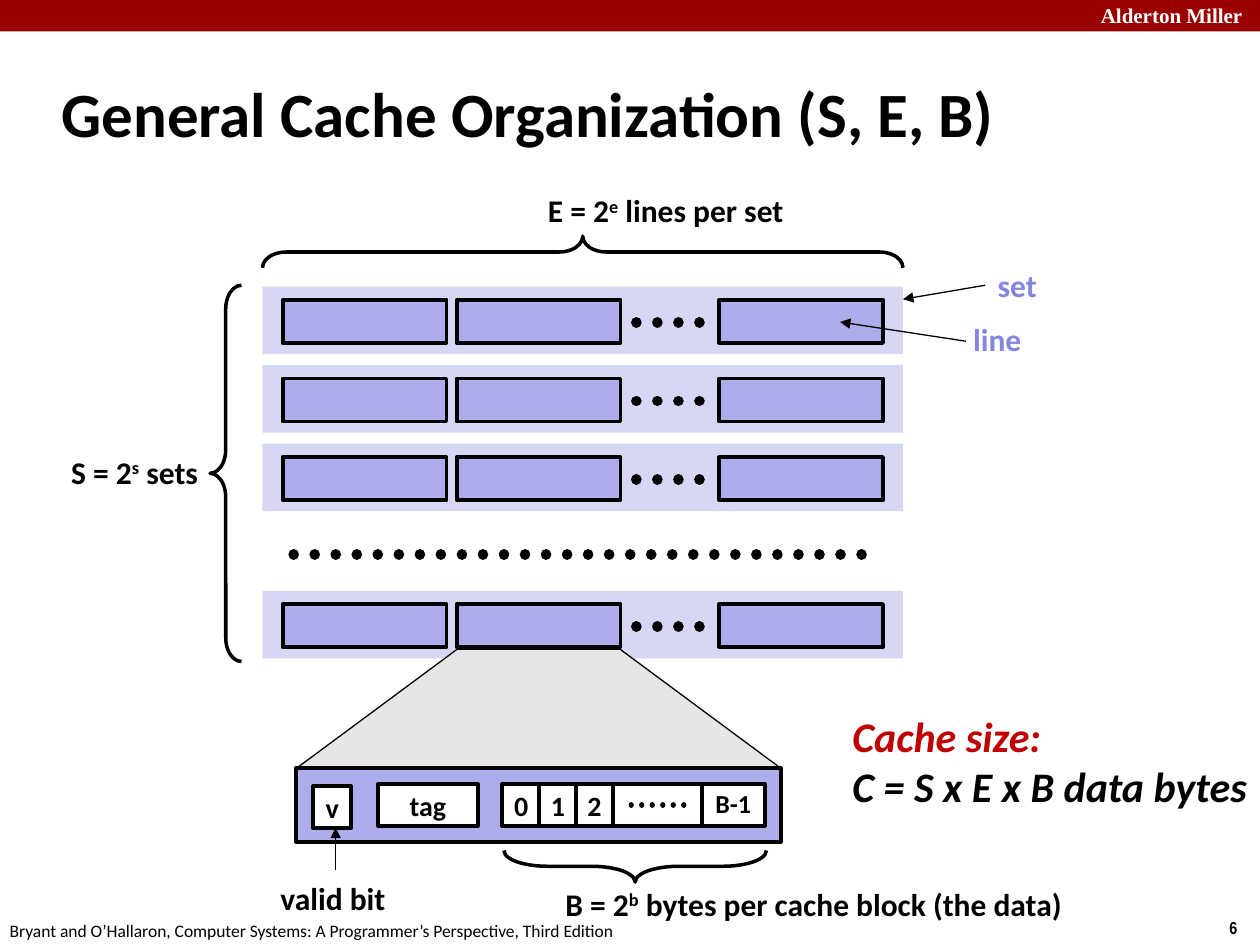
from pptx import Presentation
from pptx.dml.color import RGBColor
from pptx.enum.dml import MSO_LINE
from pptx.enum.shapes import MSO_CONNECTOR, MSO_SHAPE as Preset
from pptx.enum.text import MSO_ANCHOR as Anchor, MSO_AUTO_SIZE as AutoSize, PP_ALIGN as Align
from pptx.oxml.ns import qn
from pptx.util import Pt
from lxml.etree import SubElement

BLACK, WHITE = "000000", "FFFFFF"
BANNER_RED, ACCENT_RED = "990000", "C00000"
SET_FILL, LINE_FILL, LABEL = "D6D6F5", "ADADEB", "8585E0"
ZOOM_GRAY = "E6E6E6"

SET_LEFT, SET_WIDTH, SET_HEIGHT = 150, 366, 38.6
FIRST_SET_TOP, SET_PITCH, LAST_SET_TOP = 163.8, 44.9, 337.6
BYTE_TOP, BYTE_HEIGHT = 448, 24


def color(hex_string):
    return RGBColor.from_string(hex_string)


def add_run(paragraph, text, size, ink=BLACK, bold=True, italic=False, font="Calibri"):
    run = paragraph.add_run()
    run.text = text
    run.font.name = font
    run.font.size = Pt(size)
    run.font.bold = bold
    run.font.italic = italic
    run.font.color.rgb = color(ink)
    return run


def add_text(slide, left, top, width, height, wrap=False):
    """Add an empty text box and return its text frame."""
    box = slide.shapes.add_textbox(Pt(left), Pt(top), Pt(width), Pt(height))
    frame = box.text_frame
    frame.word_wrap = wrap
    frame.auto_size = AutoSize.SHAPE_TO_FIT_TEXT
    return frame


def add_label(slide, left, top, width, text, ink=BLACK):
    frame = add_text(slide, left, top, width, 29)
    add_run(frame.paragraphs[0], text, 18, ink)


def add_power_label(slide, left, top, width, base, exponent, rest):
    """Add a label whose exponent is a superscript run."""
    paragraph = add_text(slide, left, top, width, 29).paragraphs[0]
    add_run(paragraph, base, 18)
    raised = add_run(paragraph, exponent, 18)
    raised._r.get_or_add_rPr().set("baseline", "30000")
    add_run(paragraph, rest, 18)


def add_preset(parent, preset, left, top, width, height, fill=None, weight=None):
    shape = parent.shapes.add_shape(preset, Pt(left), Pt(top), Pt(width), Pt(height))
    shape.shadow.inherit = False
    if fill:
        shape.fill.solid()
        shape.fill.fore_color.rgb = color(fill)
    else:
        shape.fill.background()
    if weight:
        shape.line.color.rgb = color(BLACK)
        shape.line.width = Pt(weight)
    else:
        shape.line.fill.background()
    return shape


def add_brace(slide, left, top, width, height, curl, rotation=0):
    brace = add_preset(slide, Preset.LEFT_BRACE, left, top, width, height, weight=2)
    brace.adjustments[0] = curl
    brace.adjustments[1] = 0.5
    brace.rotation = rotation


def add_cell(slide, left, width, text="", top=BYTE_TOP, size=16, spacing=None):
    """Add a white field of the cache line."""
    cell = add_preset(slide, Preset.RECTANGLE, left, top, width, BYTE_HEIGHT, WHITE, 2.25)
    if text:
        frame = cell.text_frame
        frame.word_wrap = False
        frame.vertical_anchor = Anchor.MIDDLE
        paragraph = frame.paragraphs[0]
        paragraph.alignment = Align.CENTER
        paragraph.line_spacing = spacing
        add_run(paragraph, text, size)


def add_line(parent, start, end, weight):
    line = parent.shapes.add_connector(
        MSO_CONNECTOR.STRAIGHT, Pt(start[0]), Pt(start[1]), Pt(end[0]), Pt(end[1]))
    line.line.color.rgb = color(BLACK)
    line.line.width = Pt(weight)
    properties = line._element.spPr
    SubElement(properties, qn("a:effectLst"))
    return line, properties.find(qn("a:ln"))


def add_arrow(slide, start, end):
    outline = add_line(slide, start, end, 0.75)[1]
    SubElement(outline, qn("a:tailEnd")).set("type", "triangle")


def add_dots(parent, left, right, middle, weight=6):
    line, outline = add_line(parent, (left, middle), (right, middle), weight)
    line.line.dash_style = MSO_LINE.ROUND_DOT
    outline.set("cap", "rnd")


def add_set(slide, top):
    """Add one cache set: a band with three lines and an ellipsis."""
    group = slide.shapes.add_group_shape()
    add_preset(group, Preset.RECTANGLE, SET_LEFT, top, SET_WIDTH, SET_HEIGHT, SET_FILL)
    # Four dots fit in the gap before the last line
    add_dots(group, 363.6, 407, top + 20.4)
    for left in (161.6, 261, 411):
        add_preset(group, Preset.RECTANGLE, left, top + 7.6, 93.6, 24.6, LINE_FILL, 2.25)


def add_frame_texts(slide):
    # Banner, page number and source line
    add_preset(slide, Preset.RECTANGLE, 0, 0, 720, 18, BANNER_RED)
    banner = add_text(slide, 622, -2, 103, 22, wrap=True)
    add_run(banner.paragraphs[0], "Alderton Miller", 12, WHITE, font="Times New Roman")
    number = add_text(slide, 695.5, 520.5, 24.5, 19.4)
    add_run(number.paragraphs[0], "6", 10, font="Arial Narrow")
    source = add_text(slide, -1.5, 522, 366, 19.4)
    add_run(source.paragraphs[0], "Bryant and O’Hallaron, Computer Systems: "
            "A Programmer’s Perspective, Third Edition", 10, bold=False)


def add_title(slide):
    title = slide.shapes.title
    title.left, title.top, title.width, title.height = Pt(28), Pt(34), Pt(598), Pt(60)
    frame = title.text_frame
    frame.auto_size = AutoSize.NONE
    frame.vertical_anchor = Anchor.MIDDLE
    frame.paragraphs[0].alignment = Align.LEFT
    add_run(frame.paragraphs[0], "General Cache Organization (S, E, B)", 36)


def add_cache(slide):
    # Sets
    tops = [FIRST_SET_TOP + row * SET_PITCH for row in range(3)] + [LAST_SET_TOP]
    for top in tops:
        add_set(slide, top)
    add_dots(slide, 167.8, 504, 316.8)

    # Braces and their labels
    add_brace(slide, 324, -39, 18, SET_WIDTH, 0.75, rotation=90)
    add_brace(slide, 120, 163, 18, 215, 0.75)
    add_power_label(slide, 306, 105.6, 154, "E = 2", "e", " lines per set")
    add_power_label(slide, 33.6, 255.2, 88.6, "S = 2", "s", " sets")

    # Pointers to a set and a line
    add_arrow(slide, (563, 163), (516, 171))
    add_label(slide, 563, 148.5, 36.7, "set", LABEL)
    add_arrow(slide, (552, 195), (480, 184))
    add_label(slide, 549, 179.3, 42.5, "line", LABEL)


def add_line_detail(slide):
    # Enlarged cache line
    zoom = add_preset(slide, Preset.TRAPEZOID, 169.2, 371, 277.2, 68.2, ZOOM_GRAY, 0.75)
    zoom.adjustments[0] = 1.35
    add_preset(slide, Preset.RECTANGLE, 169.2, 439, 277.2, 42, LINE_FILL, 2.25)

    # Data bytes, tag and valid bit
    for index in range(3):
        add_cell(slide, 287 + index * 21, 21.6, str(index))
    add_cell(slide, 401, 36, "B-1", size=14.8, spacing=0.9)
    add_cell(slide, 350.5, 50.5)
    add_dots(slide, 360.7, 396.7, 460, weight=3)
    add_cell(slide, 216, 57, "tag")
    add_cell(slide, 179, 21.6, "v", top=449.3)

    # Labels below
    add_brace(slide, 354, 420, 18, 150, 1.37, rotation=270)
    add_power_label(slide, 316, 502, 309, "B = 2", "b", " bytes per cache block (the data)")
    add_label(slide, 153.2, 499, 75, "valid bit")
    add_arrow(slide, (191.8, 497), (191.8, 473))


def add_cache_size(slide):
    frame = add_text(slide, 480, 402.5, 248.5, 65.5)
    add_run(frame.paragraphs[0], "Cache size:", 24, ACCENT_RED, italic=True)
    add_run(frame.add_paragraph(), "C = S x E x B data bytes", 24, italic=True)


def main():
    presentation = Presentation()
    presentation.slide_width, presentation.slide_height = Pt(720), Pt(540)
    slide = presentation.slides.add_slide(presentation.slide_layouts[5])
    add_frame_texts(slide)
    add_title(slide)
    add_cache(slide)
    add_line_detail(slide)
    add_cache_size(slide)
    presentation.save("out.pptx")


if __name__ == "__main__":
    main()
